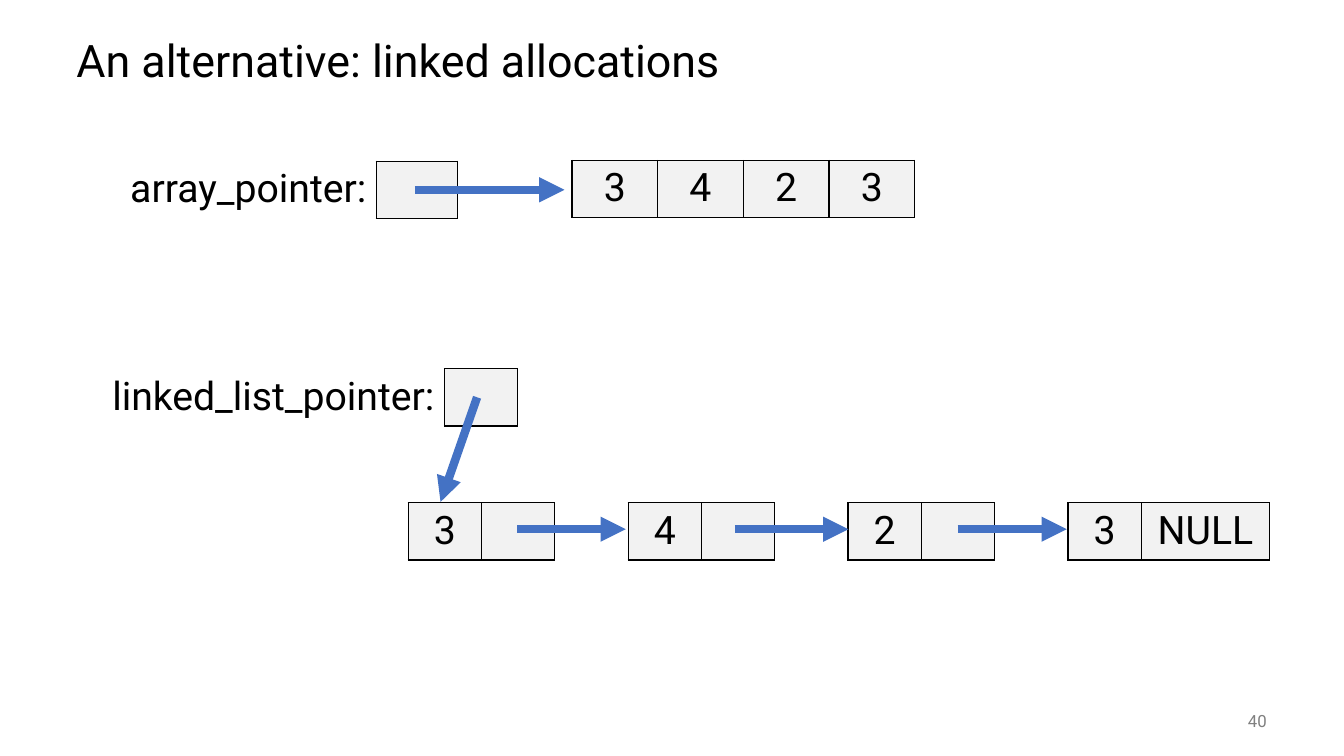
from lxml.etree import SubElement, fromstring
from pptx import Presentation
from pptx.dml.color import RGBColor
from pptx.enum.shapes import MSO_CONNECTOR as CONN
from pptx.enum.text import MSO_ANCHOR as ANCHOR, PP_ALIGN as ALIGN
from pptx.oxml.ns import nsdecls, qn
from pptx.util import Inches, Pt

# The slide is a grid of 160 columns by 90 rows, each 1/12 inch
UNIT = 1 / 12
ROW_H = 6.8
NODE_W = 8.73
FONT = "Roboto"
BLACK, GREY, BOX_FILL, ARROW = "000000", "808080", "F2F2F2", "4472C4"


def grid(n):
    return Inches(n * UNIT)


def color(hex_code):
    return RGBColor.from_string(hex_code)


def write(tf, text, size, align=ALIGN.LEFT, hex_code=BLACK):
    p = tf.paragraphs[0]
    p.text = text
    p.alignment = align
    for r in p.runs:
        r.font.name = FONT
        r.font.size = Pt(size)
        r.font.color.rgb = color(hex_code)
    return p


def set_borders(cell, sides):
    """Draw the named sides of a cell in black and clear the others."""
    tc_pr = cell._tc.get_or_add_tcPr()
    for i, side in enumerate("LRTB"):
        paint = (f'<a:solidFill><a:srgbClr val="{BLACK}"/></a:solidFill>'
                 if side in sides else "<a:noFill/>")
        tc_pr.insert(i, fromstring(
            f'<a:ln{side} {nsdecls("a")} w="12700">{paint}</a:ln{side}>'))


def add_cells(s, left, top, cells):
    """Add a one-row table; each cell is (text, columns wide, boxed)."""
    total = sum(width for _, width, _ in cells)
    table = s.shapes.add_table(1, len(cells), grid(left), grid(top),
                               grid(total), grid(ROW_H)).table
    table.first_row = table.horz_banding = False
    boxed_flags = [False] + [boxed for _, _, boxed in cells] + [False]
    for i, (text, width, boxed) in enumerate(cells):
        table.columns[i].width = grid(width)
        cell = table.cell(0, i)
        write(cell.text_frame, text, 28, ALIGN.CENTER if boxed else ALIGN.RIGHT)
        if boxed:
            cell.fill.solid()
            cell.fill.fore_color.rgb = color(BOX_FILL)
            set_borders(cell, "LRTB")
        else:
            cell.fill.background()
            # A gap shares its side edges with the boxes next to it
            set_borders(cell, "L" * boxed_flags[i] + "R" * boxed_flags[i + 2])


def add_arrow(s, x1, y1, x2, y2):
    line = s.shapes.add_connector(CONN.STRAIGHT, grid(x1), grid(y1),
                                  grid(x2), grid(y2))
    line.line.color.rgb = color(ARROW)
    line.line.width = Pt(6)
    SubElement(line.line._get_or_add_ln(), qn("a:tailEnd"), type="triangle")
    SubElement(line._element.spPr, qn("a:effectLst"))


def add_title(s, text):
    title = s.shapes.title
    title.left, title.top = grid(7.9), grid(3)
    title.width, title.height = grid(144), grid(9)
    tf = title.text_frame
    tf.vertical_anchor = ANCHOR.MIDDLE
    write(tf, text, 32).line_spacing = 0.9


def add_page_number(s, text):
    tf = s.shapes.add_textbox(grid(140), grid(83.4), grid(12), grid(4.8)).text_frame
    tf.word_wrap = True
    tf.vertical_anchor = ANCHOR.MIDDLE
    write(tf, text, 12, ALIGN.RIGHT, GREY)


def main():
    prs = Presentation()
    prs.slide_width, prs.slide_height = grid(160), grid(90)
    s = prs.slides.add_slide(prs.slide_layouts[5])
    add_title(s, "An alternative: linked allocations")
    add_page_number(s, "40")

    # Array: a pointer to one block of values
    add_cells(s, 54.5, 19.1,
              [("", 13.6, False)] + [(v, 10.2, True) for v in "3423"])
    add_cells(s, 11.4, 19.2,
              [("array_pointer:", 33.4, False), ("", 9.7, True)])
    add_arrow(s, 49.4, 22.6, 67.2, 22.6)

    # Linked list: value and link pairs with gaps between them
    nodes = [("", 35.6, False)]
    for value in "342":
        nodes += [(value, NODE_W, True), ("", NODE_W, True), ("", NODE_W, False)]
    nodes += [("3", NODE_W, True), ("NULL", 15.3, True)]
    add_cells(s, 13, 59.85, nodes)
    add_cells(s, 9.7, 43.9,
              [("linked_list_pointer:", 43.2, False), ("", 8.7, True)])
    add_arrow(s, 56.8, 47.3, 52.45, 59.75)
    for start, end in [(61.55, 74.5), (87.5, 101), (114, 127)]:
        add_arrow(s, start, 63, end, 63)

    prs.save("out.pptx")


if __name__ == "__main__":
    main()
